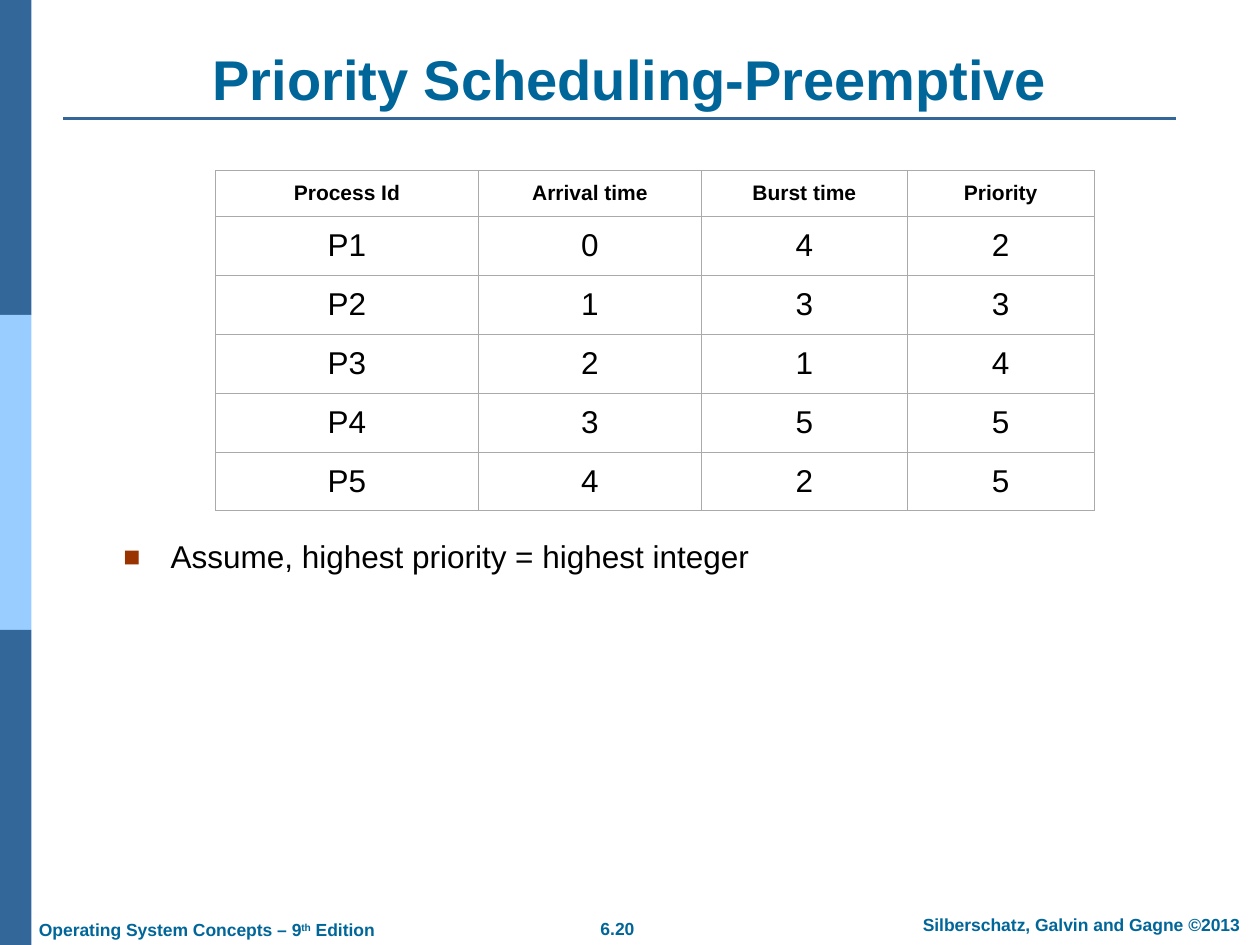
from lxml.etree import SubElement
from pptx import Presentation
from pptx.dml.color import RGBColor
from pptx.enum.shapes import MSO_CONNECTOR as Connector, MSO_SHAPE as Shape
from pptx.enum.text import MSO_ANCHOR as Anchor, PP_ALIGN as Align
from pptx.oxml.ns import qn
from pptx.util import Pt

WHITE = RGBColor(0xFF, 0xFF, 0xFF)
BLACK = RGBColor(0, 0, 0)
NAVY = RGBColor(0x33, 0x66, 0x99)
SKY = RGBColor(0x99, 0xCC, 0xFF)
TEAL = RGBColor(0x00, 0x66, 0x99)
RUST = RGBColor(0x99, 0x33, 0x00)
GREY = RGBColor(0xAA, 0xAA, 0xAA)

WIDTH, HEIGHT = 720, 540
PROCESSES = [
    ("Process Id", "Arrival time", "Burst time", "Priority"),
    ("P1", "0", "4", "2"),
    ("P2", "1", "3", "3"),
    ("P3", "2", "1", "4"),
    ("P4", "3", "5", "5"),
    ("P5", "4", "2", "5"),
]


class SlideWriter:
    font = "Arial"

    def __init__(self, page):
        self.page = page

    def style(self, para, size, color, bold=False, align=Align.LEFT):
        para.alignment = align
        font = para.font
        font.name, font.size, font.bold = self.font, Pt(size), bold
        font.color.rgb = color

    def bar(self, left, top, width, height, color):
        box = self.page.shapes.add_shape(
            Shape.RECTANGLE, Pt(left), Pt(top), Pt(width), Pt(height))
        box.shadow.inherit = False
        box.fill.solid()
        box.fill.fore_color.rgb = color
        box.line.fill.background()

    def rule(self, left, right, y, color, weight):
        line = self.page.shapes.add_connector(
            Connector.STRAIGHT, Pt(left), Pt(y), Pt(right), Pt(y))
        line.line.color.rgb = color
        line.line.width = Pt(weight)
        SubElement(line._element.spPr, qn("a:effectLst"))

    def text(self, left, top, width, height, spans, size, color, bold=False,
             align=Align.LEFT, anchor=Anchor.TOP, bullet=None):
        """Add one paragraph; spans are (text, superscript) pairs."""
        box = self.page.shapes.add_textbox(Pt(left), Pt(top), Pt(width), Pt(height))
        frame = box.text_frame
        frame.word_wrap = True
        frame.vertical_anchor = anchor
        para = frame.paragraphs[0]
        if bullet:
            self.bullet(para, bullet)
        self.style(para, size, color, bold, align)
        for words, superscript in spans:
            span = para.add_run()
            span.text = words
            if superscript:
                span._r.get_or_add_rPr().set("baseline", "30000")

    def bullet(self, para, color):
        props = para._p.get_or_add_pPr()
        props.set("marL", str(Pt(27)))
        props.set("indent", str(-Pt(27)))
        SubElement(SubElement(props, qn("a:buClr")), qn("a:srgbClr"), val=str(color))
        SubElement(props, qn("a:buSzPct"), val="90000")
        SubElement(props, qn("a:buFont"), typeface=self.font)
        SubElement(props, qn("a:buChar"), char="■")

    def border(self, cell, color, weight):
        props = cell._tc.get_or_add_tcPr()
        for side in ("lnL", "lnR", "lnT", "lnB"):
            edge = SubElement(props, qn(f"a:{side}"), w=str(Pt(weight)))
            fill = SubElement(edge, qn("a:solidFill"))
            SubElement(fill, qn("a:srgbClr"), val=str(color))

    def table(self, left, top, widths, heights, rows):
        table = self.page.shapes.add_table(
            len(rows), len(widths), Pt(left), Pt(top),
            Pt(sum(widths)), Pt(sum(heights))).table
        table.first_row = table.horz_banding = False
        for column, width in zip(table.columns, widths):
            column.width = Pt(width)
        for row, height in zip(table.rows, heights):
            row.height = Pt(height)
        for r, values in enumerate(rows):
            header = r == 0
            for c, value in enumerate(values):
                cell = table.cell(r, c)
                self.border(cell, GREY, 0.34)
                cell.fill.solid()
                cell.fill.fore_color.rgb = WHITE
                cell.vertical_anchor = Anchor.MIDDLE
                cell.text = value
                self.style(cell.text_frame.paragraphs[0], 12 if header else 18,
                           BLACK, header, Align.CENTER)


def main():
    deck = Presentation()
    deck.slide_width, deck.slide_height = Pt(WIDTH), Pt(HEIGHT)
    writer = SlideWriter(deck.slides.add_slide(deck.slide_layouts[6]))

    bar_height = HEIGHT / 3
    for i, color in enumerate((NAVY, SKY, NAVY)):
        writer.bar(0, i * bar_height, 18, bar_height, color)
    writer.rule(36, 672, 67.7, NAVY, 1.5)

    writer.text(36, 22, 648, 45.4, [("Priority Scheduling-Preemptive", False)],
                32, TEAL, True, Align.CENTER, Anchor.BOTTOM)
    writer.table(123.1, 97.3, [150.3, 127.5, 117.6, 106.8],
                 [26.3] + [33.65] * 5, PROCESSES)
    writer.text(63.4, 303.5, 648, 28,
                [("Assume, highest priority = highest integer", False)],
                18, BLACK, bullet=RUST)

    writer.text(15.1, 521.8, 240, 19.4,
                [("Operating System Concepts – 9", False), ("th", True),
                 (" Edition", False)], 10, TEAL, True)
    writer.text(317.5, 521.1, 70.6, 19.4, [("6.20", False)],
                10, TEAL, True, Align.CENTER)
    writer.text(511, 518.9, 213.8, 19.4,
                [("Silberschatz, Galvin and Gagne ©2013", False)],
                10, TEAL, True, Align.CENTER)
    deck.save("out.pptx")


if __name__ == "__main__":
    main()
